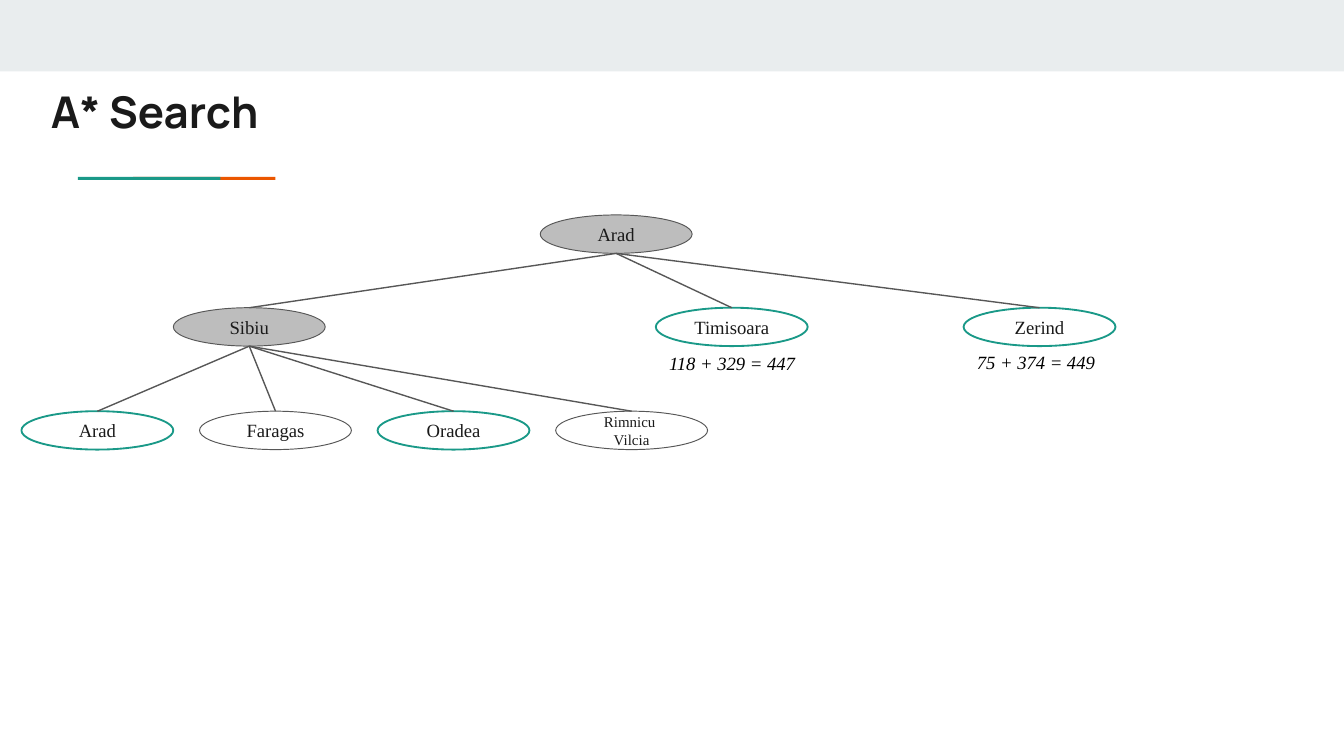
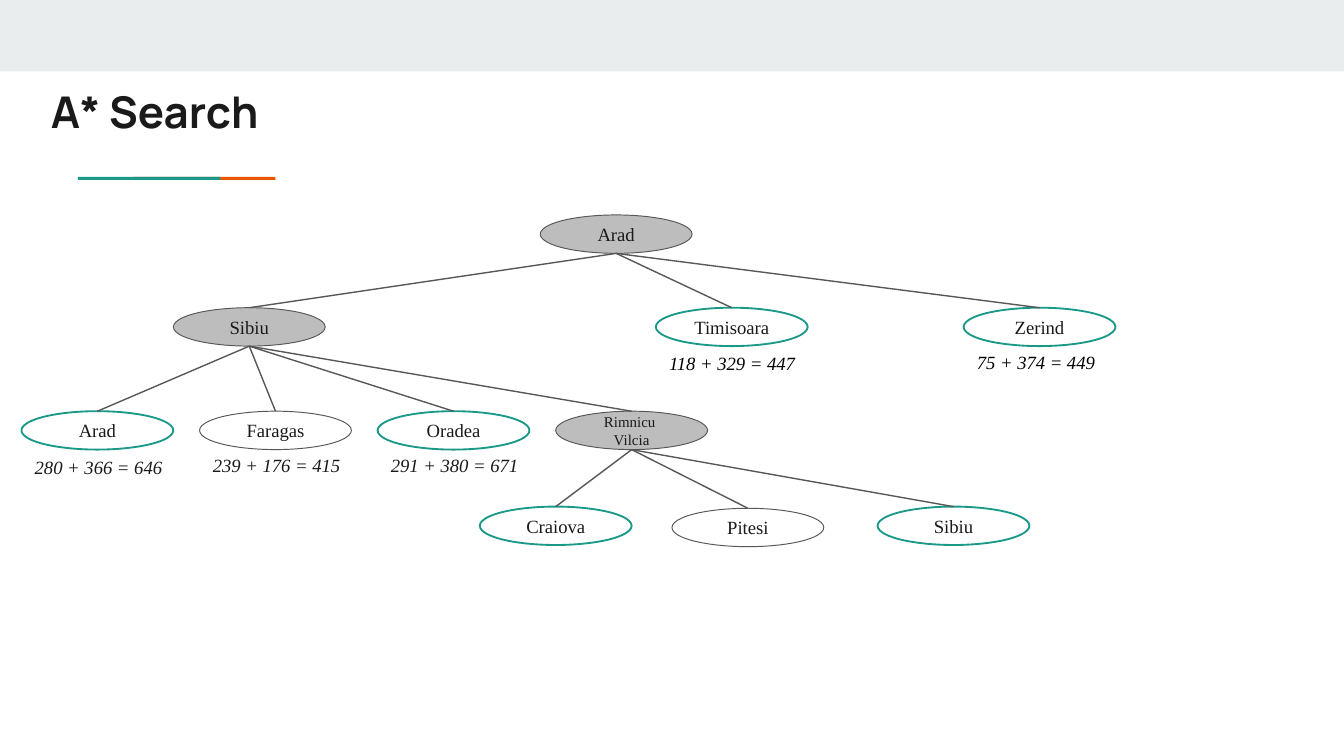
from dataclasses import dataclass, replace
from typing import Optional

from lxml import etree
from pptx import Presentation
from pptx.dml.color import RGBColor
from pptx.enum.shapes import MSO_CONNECTOR, MSO_SHAPE
from pptx.enum.text import MSO_ANCHOR, PP_ALIGN
from pptx.oxml.ns import qn
from pptx.util import Inches, Pt

RECTANGLE = MSO_SHAPE.RECTANGLE
ELLIPSE = MSO_SHAPE.OVAL
STRAIGHT = MSO_CONNECTOR.STRAIGHT
CENTER = PP_ALIGN.CENTER
LEFT = PP_ALIGN.LEFT
MIDDLE = MSO_ANCHOR.MIDDLE
TOP = MSO_ANCHOR.TOP

WIDTH, HEIGHT = Inches(10), Inches(5.625)
BLANK_LAYOUT = 6

# Percent of the slide's width or height
NODE_WIDTH, NODE_HEIGHT = 11.3, 5.08
LEVEL_TOPS = (28.44, 40.71, 54.4, 67.02)
CITY_LEFT, CITY_PITCH = 1.6, 13.25
COST_HEIGHT = 4.8


@dataclass(frozen=True)
class Theme:
    band: str = "E9EDEE"
    teal: str = "1A9988"
    orange: str = "EB5600"
    ink: str = "1A1A1A"
    black: str = "000000"
    gray: str = "575757"
    expanded: str = "BDBDBD"
    title_font: str = "Manrope"
    body_font: str = "Times New Roman"
    title_size: float = 23.4
    body_size: float = 10
    small_size: float = 8
    thin: float = 0.5
    edge: float = 0.75
    bold_line: float = 1


THEME = Theme()


@dataclass(frozen=True)
class Cost:
    text: str
    width: float
    drop: float = 4.8
    color: str = THEME.ink


@dataclass(frozen=True)
class Node:
    lines: tuple
    left: float
    outlined: bool = False
    cost: Optional[Cost] = None
    children: tuple = ()
    size: float = THEME.body_size
    nudge: float = 0


def across(percent):
    return round(WIDTH * percent / 100)


def down(percent):
    return round(HEIGHT * percent / 100)


def box(left, top, width, height):
    return across(left), down(top), across(width), down(height)


def rgb(color):
    return RGBColor.from_string(color)


def write(shape, lines, font, size, color, align=LEFT, anchor=TOP,
          bold=False, italic=False):
    frame = shape.text_frame
    frame.word_wrap = True
    frame.vertical_anchor = anchor
    for index, line in enumerate(lines):
        paragraph = frame.add_paragraph() if index else frame.paragraphs[0]
        paragraph.alignment = align
        run = paragraph.add_run()
        run.text = line
        run.font.name = font
        run.font.size = Pt(size)
        run.font.bold = bold
        run.font.italic = italic
        run.font.color.rgb = rgb(color)


def add_bar(slide, color, *place):
    bar = slide.shapes.add_shape(RECTANGLE, *box(*place))
    bar.shadow.inherit = False
    bar.fill.solid()
    bar.fill.fore_color.rgb = rgb(color)
    bar.line.fill.background()


def add_frame(slide, title):
    """Draw the band, the two-colour rule and the title."""
    add_bar(slide, THEME.band, 0, 0, 100, 9.45)
    add_bar(slide, THEME.orange, 9.9, 23.4, 10.6, 0.4)
    add_bar(slide, THEME.teal, 5.8, 23.4, 10.6, 0.4)
    text_box = slide.shapes.add_textbox(*box(2.8, 9.45, 17.9, 10.5))
    frame = text_box.text_frame
    frame.margin_top = frame.margin_bottom = Inches(0.1)
    write(text_box, [title], THEME.title_font, THEME.title_size, THEME.ink,
          bold=True)


def add_node(slide, node, top):
    ellipse = slide.shapes.add_shape(
        ELLIPSE, *box(node.left, top, NODE_WIDTH, NODE_HEIGHT))
    ellipse.shadow.inherit = False
    if node.children:
        ellipse.fill.solid()
        ellipse.fill.fore_color.rgb = rgb(THEME.expanded)
    else:
        ellipse.fill.background()
    ellipse.line.color.rgb = rgb(THEME.teal if node.outlined else THEME.gray)
    ellipse.line.width = Pt(THEME.bold_line if node.outlined else THEME.thin)
    write(ellipse, node.lines, THEME.body_font, node.size, THEME.ink,
          CENTER, MIDDLE)


def add_cost(slide, node, top):
    cost = node.cost
    text_box = slide.shapes.add_textbox(
        *box(node.left, top + cost.drop, cost.width, COST_HEIGHT))
    write(text_box, [cost.text], THEME.body_font, THEME.body_size, cost.color,
          italic=True)


def add_edge(slide, parent, parent_top, child, child_top):
    middle = NODE_WIDTH / 2
    edge = slide.shapes.add_connector(
        STRAIGHT,
        across(parent.left + middle), down(parent_top + NODE_HEIGHT),
        across(child.left + middle), down(child_top))
    edge.line.color.rgb = rgb(THEME.gray)
    edge.line.width = Pt(THEME.edge)
    properties = edge.element.find(qn("p:spPr"))
    etree.SubElement(properties, qn("a:effectLst"))


def add_tree(slide, node, level=0):
    """Draw a node with its cost, then its subtrees and the edges to them."""
    top = LEVEL_TOPS[level] + node.nudge
    add_node(slide, node, top)
    if node.cost:
        add_cost(slide, node, top)
    for child in node.children:
        add_tree(slide, child, level + 1)
        add_edge(slide, node, top, child, LEVEL_TOPS[level + 1] + child.nudge)


def search_tree(cities):
    """Return the tree from Arad, with the given cities below Sibiu."""
    return Node(("Arad",), 40.2, children=(
        Node(("Sibiu",), 12.9, children=cities),
        Node(("Timisoara",), 48.8, True,
             Cost("118 + 329 = 447", 14.3, 4.98, THEME.black)),
        Node(("Zerind",), 71.7, True,
             Cost("75 + 374 = 449", 13, color=THEME.black)),
    ))


def sibiu_cities():
    cities = (
        (("Arad",), True, THEME.body_size),
        (("Faragas",), False, THEME.body_size),
        (("Oradea",), True, THEME.body_size),
        (("Rimnicu ", "Vilcia"), False, THEME.small_size),
    )
    return tuple(
        Node(lines, CITY_LEFT + column * CITY_PITCH, outlined, size=size)
        for column, (lines, outlined, size) in enumerate(cities))


def expand_rimnicu(cities):
    """Give the first cities their costs and the last one its children."""
    costs = (
        Cost("280 + 366 = 646", 13.8, 4.98),
        Cost("239 + 176 = 415", 13.8),
        Cost("291 + 380 = 671", 14),
    )
    priced = tuple(replace(city, cost=cost)
                   for city, cost in zip(cities, costs))
    rimnicu = replace(cities[-1], children=(
        Node(("Craiova",), 35.7, True),
        Node(("Pitesi",), 50, nudge=0.22),
        Node(("Sibiu",), 65.3, True),
    ))
    return priced + (rimnicu,)


def main():
    presentation = Presentation()
    presentation.slide_width, presentation.slide_height = WIDTH, HEIGHT
    cities = sibiu_cities()
    for step in (cities, expand_rimnicu(cities)):
        slide = presentation.slides.add_slide(
            presentation.slide_layouts[BLANK_LAYOUT])
        add_frame(slide, "A* Search")
        add_tree(slide, search_tree(step))
    presentation.save("out.pptx")


if __name__ == "__main__":
    main()
